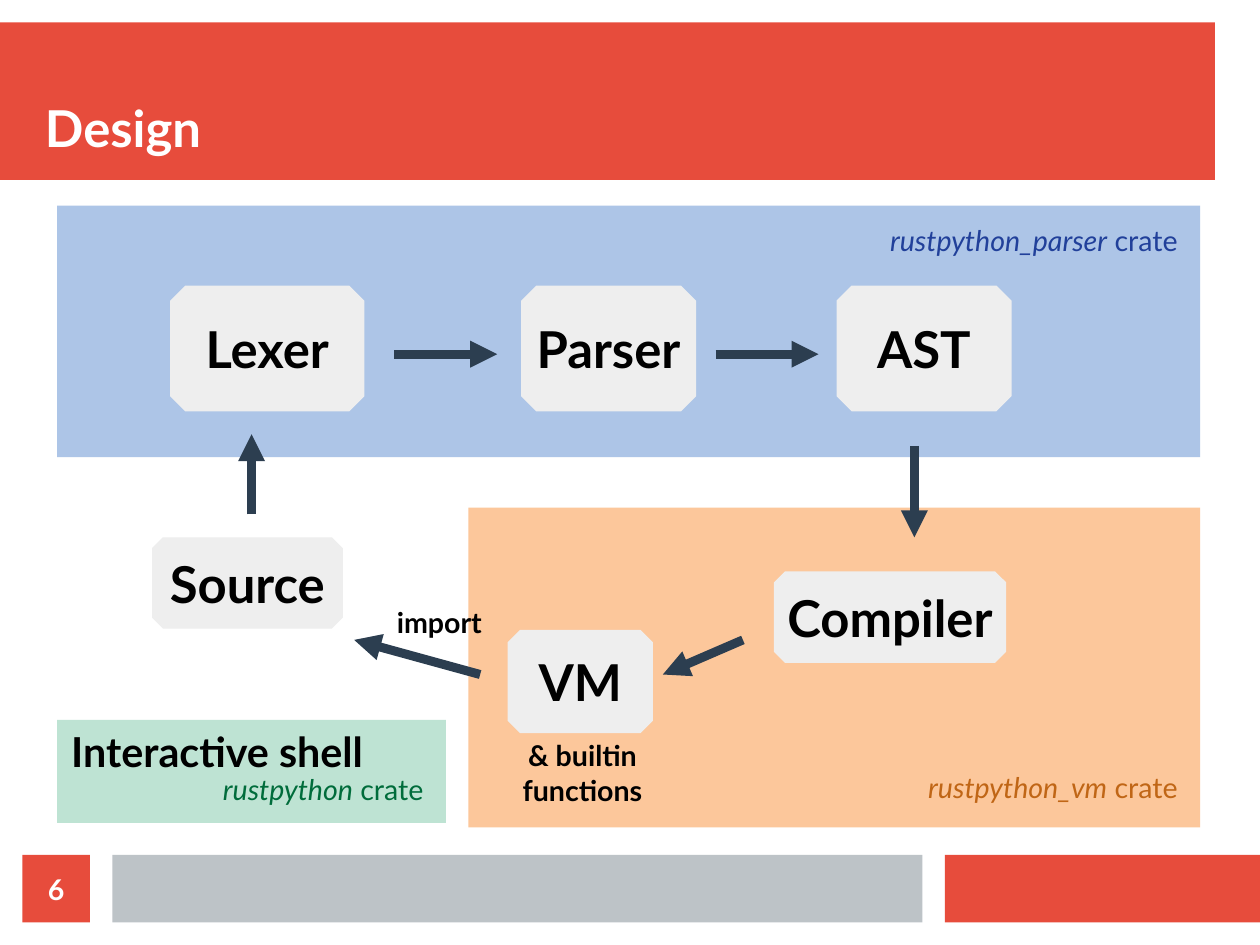
from dataclasses import dataclass
from lxml import etree
from pptx import Presentation
from pptx.dml.color import RGBColor
from pptx.enum.shapes import MSO_CONNECTOR, MSO_SHAPE
from pptx.enum.text import MSO_ANCHOR, PP_ALIGN
from pptx.oxml.ns import qn
from pptx.util import Cm, Pt

RECT, OCTAGON = MSO_SHAPE.RECTANGLE, MSO_SHAPE.OCTAGON
STRAIGHT = MSO_CONNECTOR.STRAIGHT
TOP, MIDDLE, BOTTOM = MSO_ANCHOR.TOP, MSO_ANCHOR.MIDDLE, MSO_ANCHOR.BOTTOM
LEFT, CENTER, RIGHT = PP_ALIGN.LEFT, PP_ALIGN.CENTER, PP_ALIGN.RIGHT


@dataclass(frozen=True)
class Theme:
    font: str = "Lato"
    red: str = "E74C3C"
    gray: str = "BDC3C7"
    blue: str = "ADC5E7"
    orange: str = "FCC79B"
    green: str = "BEE3D3"
    node: str = "EEEEEE"
    arrow: str = "2C3E50"
    white: str = "FFFFFF"
    black: str = "000000"
    navy: str = "21409A"
    rust: str = "C06616"
    forest: str = "006C3B"
    large: float = 32
    medium: float = 26
    small: float = 18
    stroke: float = 5.67


THEME = Theme()


def apply(target, **values):
    for name, value in values.items():
        setattr(target, name, value)


def write(shape, runs, size, color, align=CENTER, anchor=MIDDLE, pad=(0, 0), wrap=True):
    frame = shape.text_frame
    side, edge = map(Cm, pad)
    apply(frame, word_wrap=wrap, vertical_anchor=anchor, margin_left=side,
          margin_right=side, margin_top=edge, margin_bottom=edge)
    line = frame.paragraphs[0]
    line.alignment = align
    for text, bold, italic in runs:
        run = line.add_run()
        run.text = text
        apply(run.font, name=THEME.font, size=Pt(size), bold=bold, italic=italic)
        run.font.color.rgb = RGBColor.from_string(color)


def add_block(slide, box, color, kind=RECT):
    shape = slide.shapes.add_shape(kind, *map(Cm, box))
    shape.shadow.inherit = False
    shape.fill.solid()
    shape.fill.fore_color.rgb = RGBColor.from_string(color)
    shape.line.fill.background()
    return shape


def add_text(slide, box, text, size, color=THEME.black, **style):
    label = slide.shapes.add_textbox(*map(Cm, box))
    write(label, [(text, True, False)], size, color, **style)


def add_note(slide, box, text, size):
    add_text(slide, box, text, size, anchor=TOP, pad=(0.25, 0.13))


def add_node(slide, box, text):
    node = add_block(slide, box, THEME.node, OCTAGON)
    node.adjustments[0] = 0.12
    write(node, [(text, True, False)], THEME.large, THEME.black, wrap=False)


def add_arrow(slide, start, end):
    arrow = slide.shapes.add_connector(STRAIGHT, *map(Cm, start + end))
    arrow.line.width = Pt(THEME.stroke)
    arrow.line.color.rgb = RGBColor.from_string(THEME.arrow)
    etree.SubElement(arrow.line._get_or_add_ln(), qn("a:tailEnd"), type="triangle")
    etree.SubElement(arrow._element.spPr, qn("a:effectLst"))


def add_crate(slide, box, drop, name, color):
    left, top, width, _ = box
    label = slide.shapes.add_textbox(
        *map(Cm, (left + width - 7.36, top + drop, 7.11, 1.12)))
    write(label, [(name, False, True), (" crate", False, False)], THEME.small,
          color, align=RIGHT, anchor=TOP, pad=(0.25, 0.13))


def draw_header(slide, box, title):
    left, top, width, _ = box
    add_block(slide, box, THEME.red)
    add_text(slide, (left + 1, top + 0.5, width - 1, 2.5), title, THEME.large,
             THEME.white, align=LEFT, anchor=BOTTOM)


def draw_footer(slide, box, number):
    left, top, width, height = box
    page = add_block(slide, (left, top, height, height), THEME.red)
    write(page, [(number, True, False)], THEME.small, THEME.white)
    add_block(slide, (left + 2, top, 18, height), THEME.gray)
    add_block(slide, (left + 20.5, top, width - 20.5, height), THEME.red)


def draw_parser(slide, box):
    left, top, _, _ = box
    add_block(slide, box, THEME.blue)
    for text, shift, width in (("Lexer", 2.51, 4.32), ("Parser", 10.31, 3.89),
                               ("AST", 17.32, 3.89)):
        add_node(slide, (left + shift, top + 1.78, width, 2.79), text)
    for shift in (7.49, 14.63):
        start = left + shift
        add_arrow(slide, (start, top + 3.3), (start + 2.29, top + 3.3))
    add_crate(slide, box, 0.25, "rustpython_parser", THEME.navy)


def draw_vm(slide, box):
    left, top, _, _ = box
    add_block(slide, box, THEME.orange)
    add_node(slide, (left + 6.79, top + 1.42, 5.16, 2.03), "Compiler")
    add_node(slide, (left + 0.87, top + 2.72, 3.23, 2.29), "VM")
    add_arrow(slide, (left + 6.1, top + 2.94), (left + 4.32, top + 3.71))
    add_note(slide, (left + 0.87, top + 5, 3.33, 1.8), "& builtin functions", THEME.small)
    add_crate(slide, box, 5.71, "rustpython_vm", THEME.rust)


def draw_shell(slide, box):
    left, top, width, _ = box
    add_block(slide, box, THEME.green)
    add_crate(slide, box, 1.02, "rustpython", THEME.forest)
    add_note(slide, (left - 0.76, top, width, 1.68), "Interactive shell", THEME.medium)


def draw_source(slide, box):
    left, top, _, _ = box
    add_node(slide, box, "Source")
    add_arrow(slide, (left + 2.21, top - 0.51), (left + 2.21, top - 2.29))
    add_arrow(slide, (left + 7.29, top + 3.05), (left + 4.49, top + 2.28))
    add_note(slide, (left + 4.72, top + 1.37, 3.33, 1.42), "import", THEME.small)
    add_arrow(slide, (left + 16.94, top - 2.03), (left + 16.94, top))


def main():
    deck = Presentation()
    apply(deck, slide_width=Cm(28), slide_height=Cm(21))
    slide = deck.slides.add_slide(deck.slide_layouts[6])
    draw_header(slide, (0, 0.5, 27, 3.5), "Design")
    draw_footer(slide, (0.5, 19, 27.5, 1.5), "6")
    draw_vm(slide, (10.41, 11.28, 16.26, 7.11))
    draw_parser(slide, (1.27, 4.57, 25.4, 5.59))
    draw_shell(slide, (1.27, 16, 8.64, 2.29))
    draw_source(slide, (3.38, 11.94, 4.24, 2.03))
    deck.save("out.pptx")


if __name__ == "__main__":
    main()
